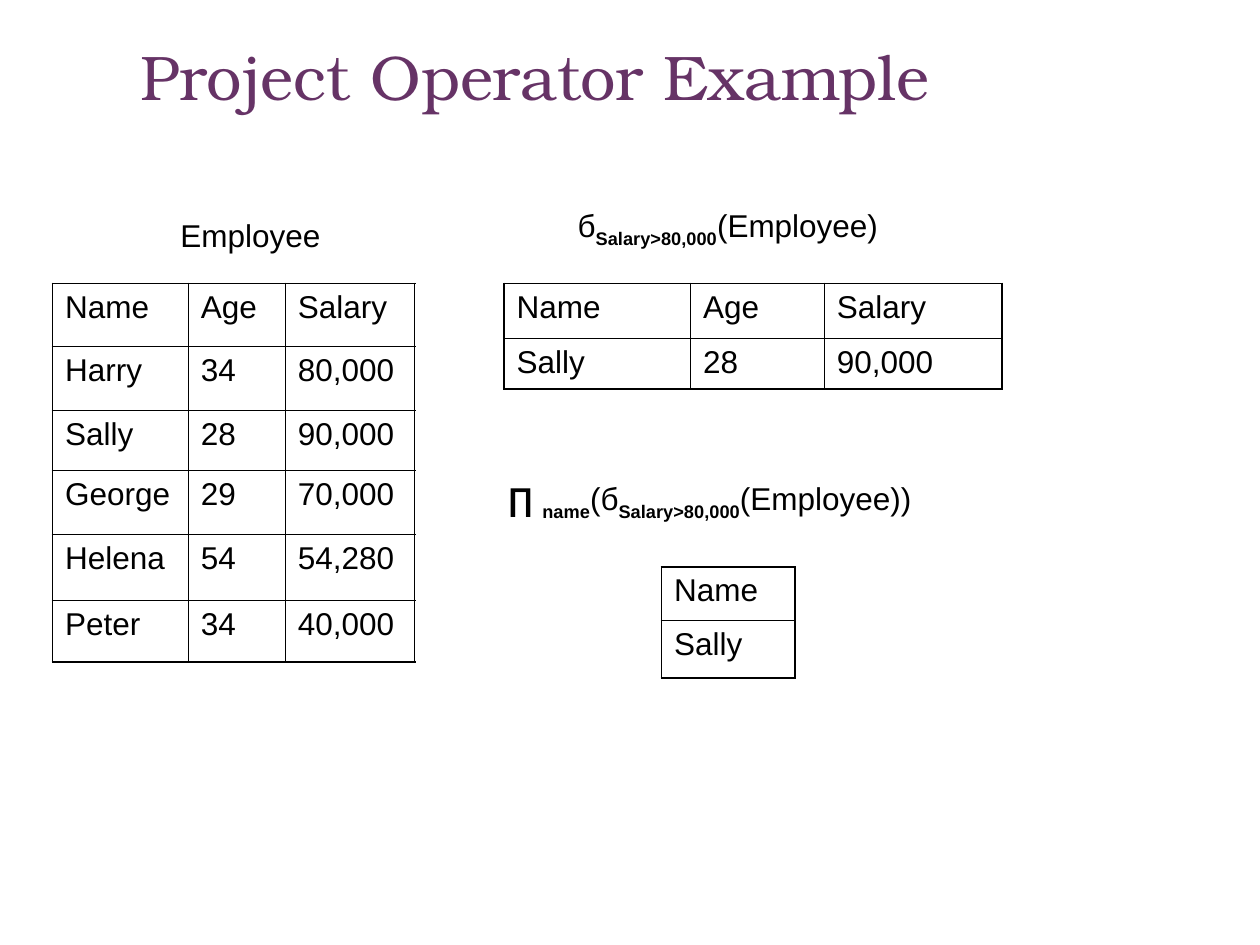
from lxml import etree
from pptx import Presentation
from pptx.dml import color
from pptx.enum import text
from pptx.oxml import ns
from pptx.util import Pt

BLACK = "000000"
PURPLE = "663366"
OUTER, INNER = 1.08, 0.45  # table line widths


def paint(target, hex_value):
    target.rgb = color.RGBColor.from_string(hex_value)


def add_span(para, words, size=18, face="Arial", hue=BLACK, subscript=False, bold=False):
    span = para.add_run()
    span.text = words
    span.font.size = Pt(size)
    span.font.name = face
    span.font.bold = bold
    paint(span.font.color, hue)
    if subscript:
        span.font._element.set("baseline", "-25000")


def add_title(page, words, left, top, width, height):
    title = page.shapes.title
    title.left, title.top, title.width, title.height = map(Pt, (left, top, width, height))
    title.text_frame.vertical_anchor = text.MSO_ANCHOR.TOP
    title.text_frame.word_wrap = True
    para = title.text_frame.paragraphs[0]
    para.alignment = text.PP_ALIGN.CENTER
    add_span(para, words, 36, "TeX Gyre Bonum", PURPLE)


def add_label(page, left, top, width, height, spans):
    """Each span is (words, subscript, bold)."""
    box = page.shapes.add_textbox(Pt(left), Pt(top), Pt(width), Pt(height))
    box.text_frame.word_wrap = False
    box.text_frame.auto_size = text.MSO_AUTO_SIZE.SHAPE_TO_FIT_TEXT
    para = box.text_frame.paragraphs[0]
    for words, subscript, bold in spans:
        add_span(para, words, subscript=subscript, bold=bold)


def set_border(cell, side, width):
    line = etree.SubElement(cell._tc.get_or_add_tcPr(), ns.qn(f"a:{side}"), w=str(Pt(width)))
    fill = etree.SubElement(line, ns.qn("a:solidFill"))
    etree.SubElement(fill, ns.qn("a:srgbClr"), val=BLACK)


def add_relation(page, left, top, widths, heights, records):
    """Draw a relation as a grid with a heavier outer frame."""
    last_row, last_column = len(heights) - 1, len(widths) - 1
    frame = page.shapes.add_table(len(heights), len(widths), Pt(left), Pt(top),
                                  Pt(sum(widths)), Pt(sum(heights)))
    table = frame.table
    table.first_row = table.horz_banding = False
    for column, width in zip(table.columns, widths):
        column.width = Pt(width)
    for row, height in zip(table.rows, heights):
        row.height = Pt(height)
    for r, record in enumerate(records):
        for c, value in enumerate(record):
            cell = table.cell(r, c)
            add_span(cell.text_frame.paragraphs[0], value)
            edges = {"lnL": c == 0, "lnR": c == last_column,
                     "lnT": r == 0, "lnB": r == last_row}
            for side, is_outer in edges.items():
                set_border(cell, side, OUTER if is_outer else INNER)
            cell.fill.background()


def main():
    deck = Presentation()
    deck.slide_width, deck.slide_height = Pt(720), Pt(540)
    page = deck.slides.add_slide(deck.slide_layouts[5])
    add_title(page, "Project Operator Example ", 17, 18, 589, 90)

    # Relations
    header = ("Name", "Age", "Salary")
    sally = ("Sally", "28", "90,000")
    employees = [header, ("Harry", "34", "80,000"), sally, ("George", "29", "70,000"),
                 ("Helena", "54", "54,280"), ("Peter", "34", "40,000")]
    add_relation(page, 30, 162, (77.6, 55.4, 74), (36, 36.4, 34.4, 36.6, 37.8, 35), employees)
    add_relation(page, 378, 324, (76.4,), (30.6, 33), [header[:1], sally[:1]])
    add_relation(page, 288, 162, (106.6, 76.4, 101.7), (31.5, 28.8), [header, sally])

    # Relation names and algebra expressions
    condition = ("Salary>80,000", True, True)
    add_label(page, 96, 120, 95, 29, [("Employee", False, False)])
    add_label(page, 323, 114, 186, 32,
              [("б", False, False), condition, ("(Employee)", False, False)])
    add_label(page, 283, 270, 245, 32,
              [("∏ ", False, True), ("name", True, True), ("(б", False, False),
               condition, ("(Employee))", False, False)])

    deck.save("out.pptx")


if __name__ == "__main__":
    main()
